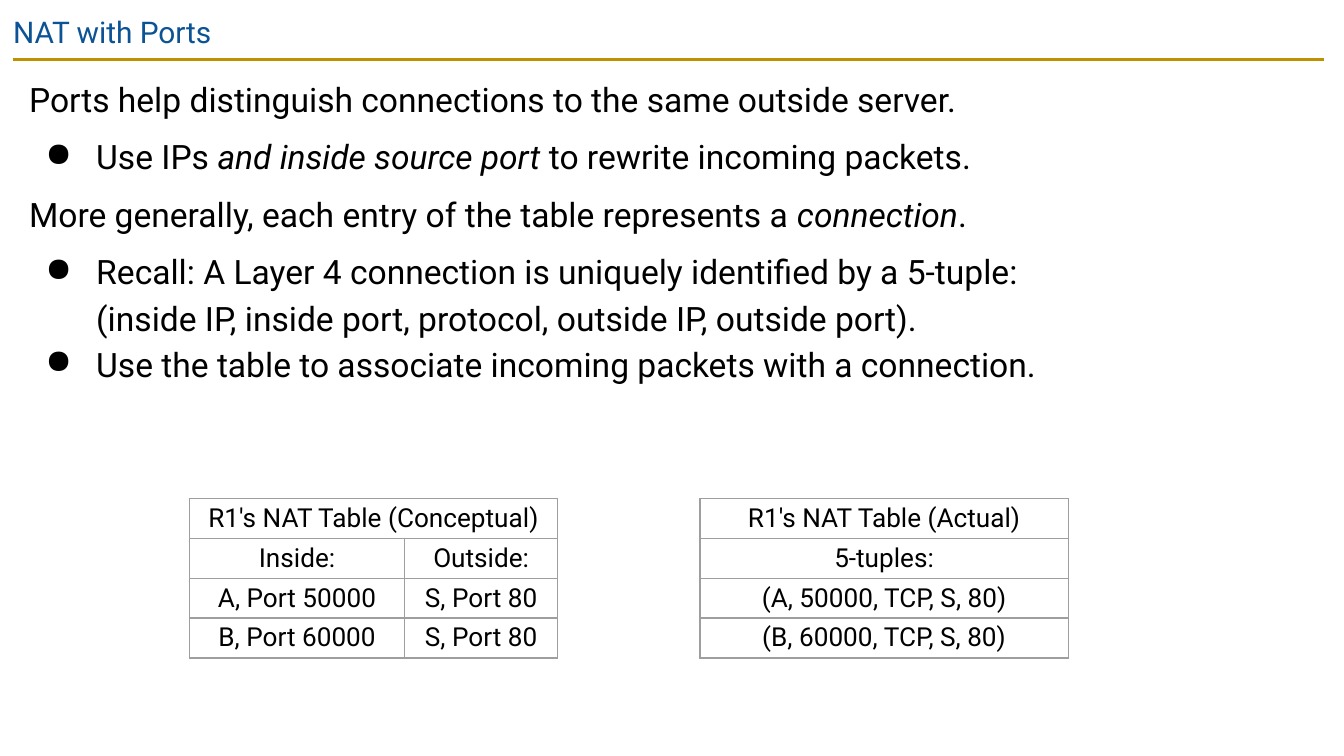
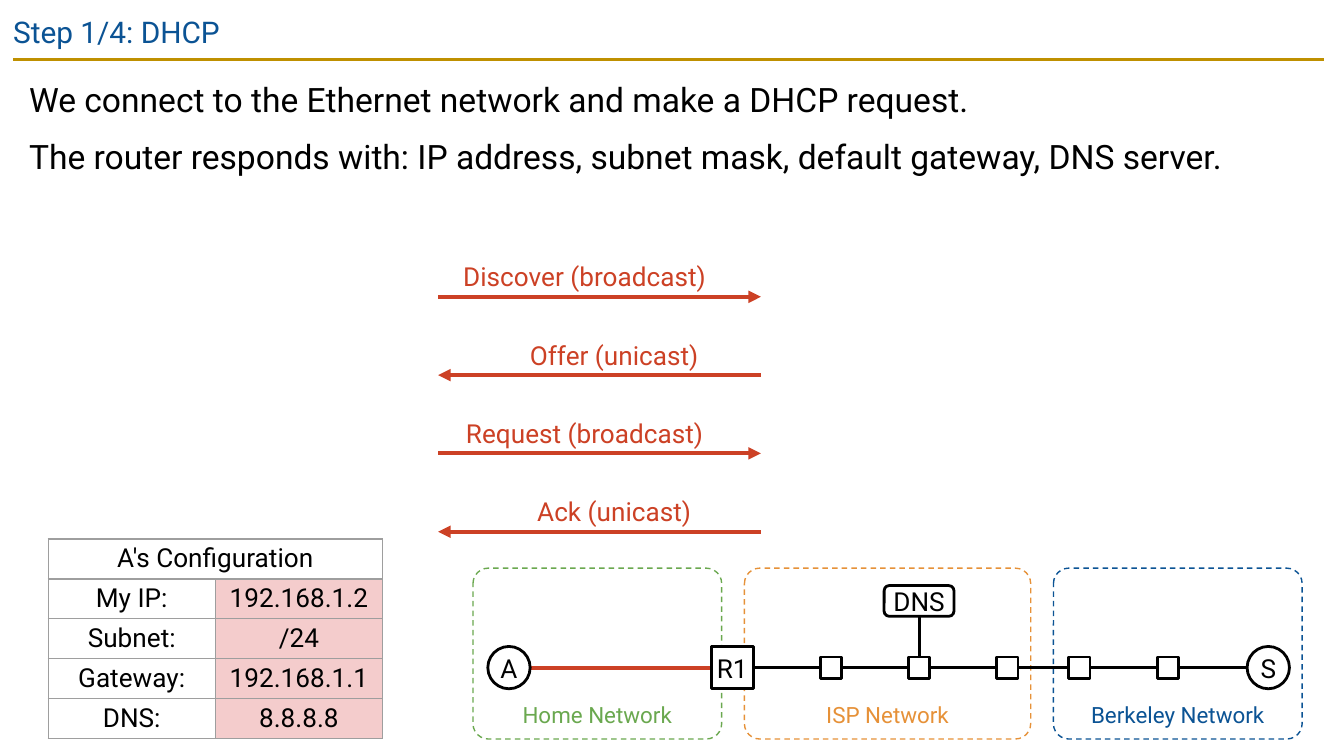
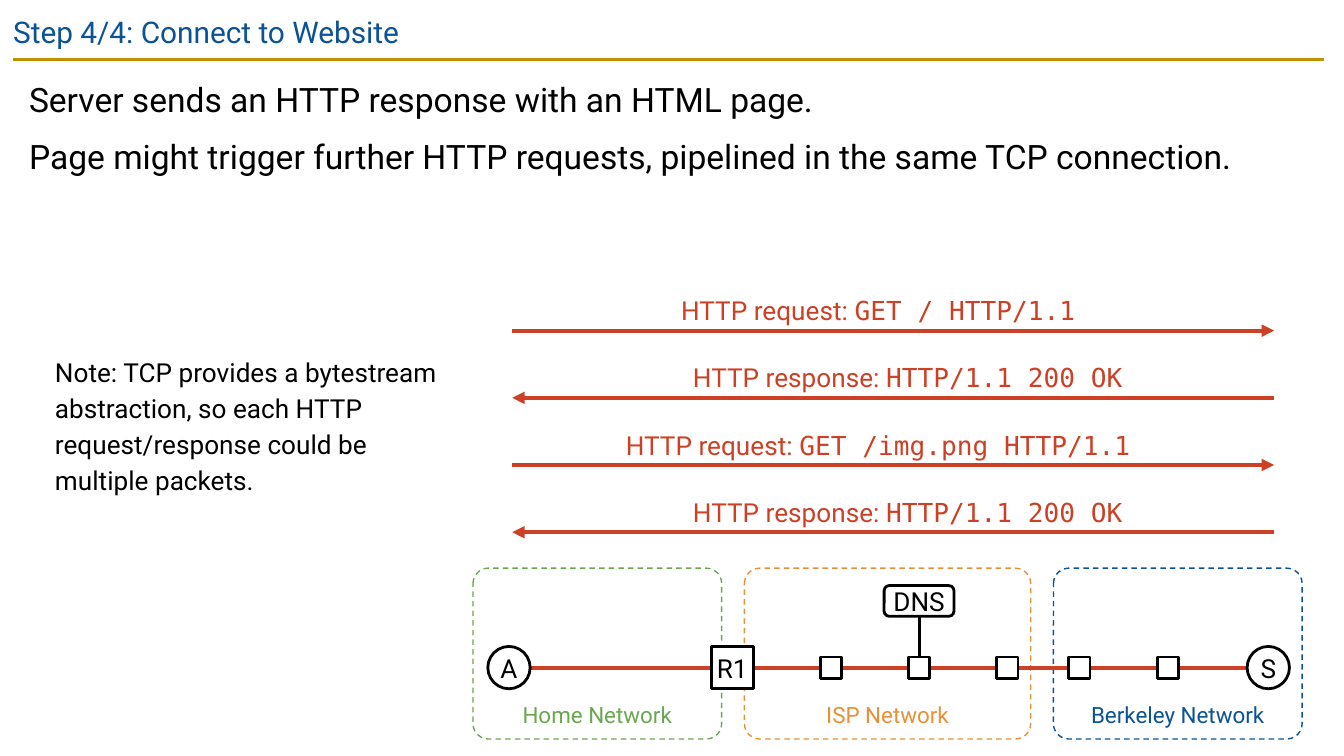
import lxml.etree
import pptx
import pptx.dml.color
import pptx.enum.dml
import pptx.enum.shapes
import pptx.enum.text
import pptx.oxml.ns
import pptx.util

Cm = pptx.util.Cm
Pt = pptx.util.Pt
qn = pptx.oxml.ns.qn
SHAPE = pptx.enum.shapes.MSO_SHAPE
ALIGN = pptx.enum.text.PP_ALIGN
ANCHOR = pptx.enum.text.MSO_ANCHOR

HEX = {
    "ink": "000000", "paper": "FFFFFF", "blue": "0B5394", "gold": "BF9000", "green": "6AA84F",
    "orange": "E69138", "red": "CC4125", "pink": "F4CCCC", "grid": "9E9E9E",
}
COLORS = {name: pptx.dml.color.RGBColor.from_string(code) for name, code in HEX.items()}
ITALIC = {"italic": True}
MONO = {"name": "DejaVu Sans Mono"}
BULLET = "●"


def write(holder, paras, size, color="ink", align=ALIGN.LEFT, inset=0.25, anchor=ANCHOR.TOP, spacing=None):
    frame = holder.text_frame
    frame.word_wrap = True
    edges = holder if hasattr(holder, "margin_left") else frame
    for side in ("left", "top", "right", "bottom"):
        setattr(edges, f"margin_{side}", Cm(inset))
    edges.vertical_anchor = anchor
    for index, (before, mark, spans) in enumerate(paras):
        para = frame.add_paragraph() if index else frame.paragraphs[0]
        if mark:
            props = para._p.get_or_add_pPr()
            props.set("marL", str(Cm(1.27)))
            props.set("indent", str(Cm(-0.96)))
            tint = lxml.etree.SubElement(props, qn("a:buClr"))
            lxml.etree.SubElement(tint, qn("a:srgbClr"), val=HEX[color])
            lxml.etree.SubElement(props, qn("a:buChar"), char=mark)
        layout = {"alignment": align, "line_spacing": spacing, "space_before": Pt(before)}
        for name, value in layout.items():
            setattr(para, name, value)
        for words, extra in spans:
            if words == "\n":
                para.add_line_break()
                continue
            span = para.add_run()
            span.text = words
            look = {"name": "Roboto", "size": Pt(size), **extra}
            for name, value in look.items():
                setattr(span.font, name, value)
            span.font.color.rgb = COLORS[color]


def connect(page, start, end, color, width, arrow=None):
    line = page.shapes.add_connector(
        pptx.enum.shapes.MSO_CONNECTOR.STRAIGHT, *map(Cm, (*start, *end)))
    line.line.color.rgb = COLORS[color]
    line.line.width = Pt(width)
    if arrow:
        lxml.etree.SubElement(line.line._get_or_add_ln(), qn(f"a:{arrow}"), type="triangle")
    lxml.etree.SubElement(line._element.spPr, qn("a:effectLst"))


deck = pptx.Presentation()
deck.slide_width = Cm(25.4)
deck.slide_height = Cm(14.29)

slides = [
    ("NAT with Ports", 7.34, [
        (0, None, [("Ports help distinguish connections to the same outside server.", {})]),
        (6, BULLET, [("Use IPs ", {}), ("and inside source port", ITALIC),
                     (" to rewrite incoming packets.", {})]),
        (6, None, [("More generally, each entry of the table represents a ", {}),
                   ("connection", ITALIC), (".", {})]),
        (6, BULLET, [("Recall: A Layer 4 connection is uniquely identified by a 5-tuple:", {}),
                     ("\n", {}),
                     ("(inside IP, inside port, protocol, outside IP, outside port).", {})]),
        (0, BULLET, [("Use the table to associate incoming packets with a connection.", {})]),
    ]),
    ("Step 1/4: DHCP", 3.02, [
        (0, None, [("We connect to the Ethernet network and make a DHCP request.", {})]),
        (6, None, [("The router responds with: IP address, subnet mask, default gateway, DNS server.", {})]),
    ]),
    ("Step 4/4: Connect to Website", 3.23, [
        (0, None, [("Server sends an HTTP response with an HTML page.", {})]),
        (6, None, [("Page might trigger further HTTP requests, pipelined in the same TCP connection.", {})]),
    ]),
]
pages = []
for title, height, paras in slides:
    page = deck.slides.add_slide(deck.slide_layouts[6])
    pages.append(page)
    connect(page, (0.25, 1.12), (25.02, 1.12), "gold", 1.5)
    box = page.shapes.add_textbox(*map(Cm, (0, 0, 25.4, 1.09)))
    write(box, [(0, None, [(title, {})])], 16, "blue")
    box = page.shapes.add_textbox(*map(Cm, (0.3, 1.12, 24.74, height)))
    write(box, paras, 18, spacing=1.15)
nat_page, dhcp_page, web_page = pages

tables = [
    (nat_page, 3.58, 9.42, (4.07, 2.89), 0.69, ANCHOR.MIDDLE, ("paper", "paper"), [
        ["R1's NAT Table (Conceptual)"], ["Inside:", "Outside:"],
        ["A, Port 50000", "S, Port 80"], ["B, Port 60000", "S, Port 80"]]),
    (nat_page, 13.23, 9.42, (4.07, 2.89), 0.69, ANCHOR.MIDDLE, ("paper", "paper"), [
        ["R1's NAT Table (Actual)"], ["5-tuples:"],
        ["(A, 50000, TCP, S, 80)"], ["(B, 60000, TCP, S, 80)"]]),
    (dhcp_page, 0.91, 10.19, (3.16, 3.16), 0.48, ANCHOR.TOP, (None, "pink"), [
        ["A's Configuration"], ["My IP:", "192.168.1.2"], ["Subnet:", "/24"],
        ["Gateway:", "192.168.1.1"], ["DNS:", "8.8.8.8"]]),
]
for page, left, top, widths, height, anchor, fills, rows in tables:
    table = page.shapes.add_table(
        len(rows), 2, *map(Cm, (left, top, sum(widths), height * len(rows)))).table
    table.first_row = table.horz_banding = False
    for column, width in zip(table.columns, widths):
        column.width = Cm(width)
    for r, words in enumerate(rows):
        table.rows[r].height = Cm(height)
        if len(words) == 1:
            table.cell(r, 0).merge(table.cell(r, 1))
        for c, fill in enumerate(fills):
            cell = table.cell(r, c)
            text = words[c] if c < len(words) else ""
            write(cell, [(0, None, [(text, {})] if text else [])], 14,
                  align=ALIGN.CENTER, inset=0.08, anchor=anchor)
            for side in "LRTB":
                edge = lxml.etree.SubElement(
                    cell._tc.get_or_add_tcPr(), qn(f"a:ln{side}"), w=str(Pt(0.75)))
                paint = lxml.etree.SubElement(edge, qn("a:solidFill"))
                lxml.etree.SubElement(paint, qn("a:srgbClr"), val=HEX["grid"])
            if fill:
                cell.fill.solid()
                cell.fill.fore_color.rgb = COLORS[fill]
            else:
                cell.fill.background()

zones = [
    ("Home Network", 8.94, 4.7, "green"),
    ("ISP Network", 14.07, 5.41, "orange"),
    ("Berkeley Network", 19.91, 4.7, "blue"),
]
axis = 12.62
dns_center, dns_top, dns_width, dns_height = 17.37, 11.07, 1.32, 0.58
nodes = [
    ("A", SHAPE.OVAL, 9.62, 0.8),
    ("R1", SHAPE.RECTANGLE, 13.84, 0.8),
    ("", SHAPE.RECTANGLE, 15.7, 0.4),
    ("", SHAPE.RECTANGLE, dns_center, 0.4),
    ("", SHAPE.RECTANGLE, 19.04, 0.4),
    ("", SHAPE.RECTANGLE, 20.4, 0.4),
    ("", SHAPE.RECTANGLE, 22.07, 0.4),
    ("S", SHAPE.OVAL, 23.97, 0.8),
]
for page, active_links in ((dhcp_page, 1), (web_page, len(nodes) - 1)):
    for name, left, width, color in zones:
        zone = page.shapes.add_shape(
            SHAPE.ROUNDED_RECTANGLE, *map(Cm, (left, 10.74, width, 3.23)))
        zone.adjustments[0] = 0.09
        zone.shadow.inherit = False
        zone.fill.background()
        zone.line.color.rgb = COLORS[color]
        zone.line.width = Pt(0.75)
        zone.line.dash_style = pptx.enum.dml.MSO_LINE.DASH
        label = page.shapes.add_textbox(*map(Cm, (left, 13.18, width, 0.66)))
        write(label, [(0, None, [(name, {})])], 12, color, ALIGN.CENTER, 0.08)

    for index, (first, second) in enumerate(zip(nodes, nodes[1:])):
        color, width = ("red", 2.25) if index < active_links else ("ink", 1.5)
        connect(page, (first[2] + first[3] / 2, axis), (second[2] - second[3] / 2, axis), color, width)
    connect(page, (dns_center, dns_top + dns_height), (dns_center, axis - 0.2), "ink", 1.5)

    devices = [(name, kind, center - size / 2, axis - size / 2, size, size)
               for name, kind, center, size in nodes]
    devices.append(("DNS", SHAPE.ROUNDED_RECTANGLE, dns_center - dns_width / 2, dns_top, dns_width, dns_height))
    for name, kind, *place in devices:
        device = page.shapes.add_shape(kind, *map(Cm, place))
        device.shadow.inherit = False
        if name == "DNS":
            device.fill.background()
        else:
            device.fill.solid()
            device.fill.fore_color.rgb = COLORS["paper"]
        device.line.color.rgb = COLORS["ink"]
        device.line.width = Pt(1.5)
        if name:
            write(device, [(0, None, [(name, {})])], 14, align=ALIGN.CENTER, inset=0, anchor=ANCHOR.MIDDLE)

exchanges = [
    (dhcp_page, 8.28, 14.38, 5.61, 1.48, [
        [("Discover (broadcast)", {})], [("Offer (unicast)", {})],
        [("Request (broadcast)", {})], [("Ack (unicast)", {})]]),
    (web_page, 9.68, 24.08, 6.25, 1.27, [
        [("HTTP request: ", {}), ("GET / HTTP/1.1", MONO)],
        [("HTTP response: ", {}), ("HTTP/1.1 200 OK", MONO)],
        [("HTTP request: ", {}), ("GET /img.png HTTP/1.1", MONO)],
        [("HTTP response: ", {}), ("HTTP/1.1 200 OK", MONO)]]),
]
head_room = 0.56
for page, left, right, top, step, messages in exchanges:
    for index, spans in enumerate(messages):
        reply = index % 2
        level = top + index * step
        connect(page, (left, level), (right, level), "red", 2.25, "headEnd" if reply else "tailEnd")
        label = page.shapes.add_textbox(
            *map(Cm, (left + reply * head_room, level - 0.76, right - left - head_room, 0.76)))
        write(label, [(0, None, spans)], 14, "red", ALIGN.CENTER, 0.08)

note = web_page.shapes.add_textbox(*map(Cm, (0.79, 6.4, 7.8, 3.18)))
write(note, [(0, None, [(
    "Note: TCP provides a bytestream abstraction, so each HTTP "
    "request/response could be multiple packets.", {})])], 14, spacing=1.15)

deck.save("out.pptx")
